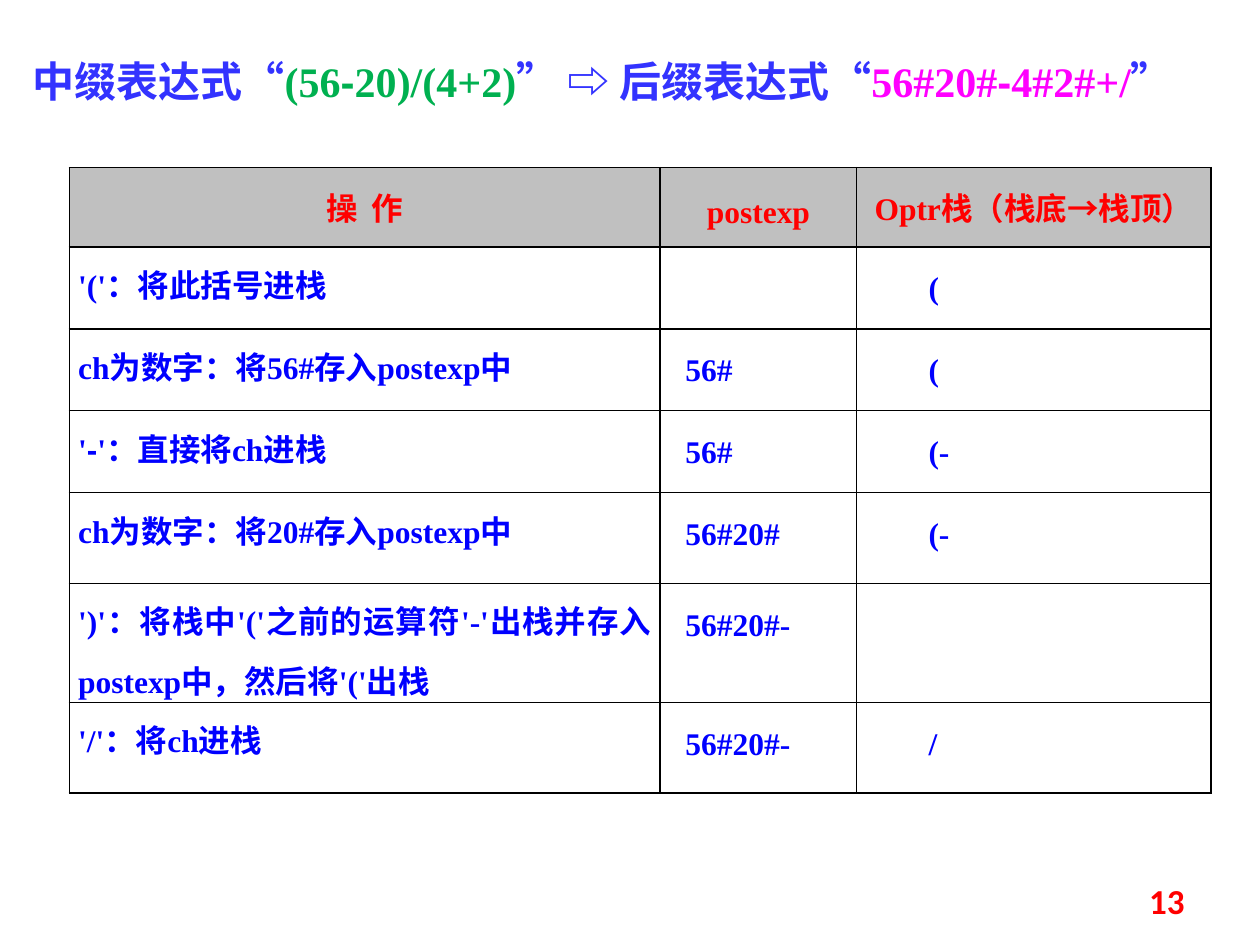
import pptx
import pptx.util
import pptx.dml.color
import pptx.enum.text
import pptx.oxml
import pptx.oxml.ns

Inches, Pt = pptx.util.Inches, pptx.util.Pt
ALIGN = pptx.enum.text.PP_ALIGN
ANCHOR = pptx.enum.text.MSO_ANCHOR

COLORS = {"title": "3333FF", "infix": "00B050", "postfix": "FF00FF",
          "head": "FF0000", "body": "0000FF", "head_fill": "C0C0C0",
          "border": "000000"}
SERIF, SANS = "Times New Roman", "Arial"

TITLE = [("中缀表达式“", "title", SERIF),
         ("(56", "infix", SERIF), ("-", "infix", SANS), ("20)/(4+2)", "infix", SERIF),
         ("” ⇨ 后缀表达式“", "title", SERIF),
         ("56#20#", "postfix", SERIF), ("-", "postfix", SANS), ("4#2#+/", "postfix", SERIF),
         ("”", "title", SERIF)]
HEADER = ["操  作", "postexp", "Optr栈（栈底→栈顶）"]
STEPS = [
    ("'('：将此括号进栈", "", "("),
    ("ch为数字：将56#存入postexp中", "56#", "("),
    ([("'", SERIF), ("-", SANS), ("'：直接将ch进栈", SERIF)], "56#", "(-"),
    ("ch为数字：将20#存入postexp中", "56#20#", "(-"),
    ("')'：将栈中'('之前的运算符'-'出栈并存入postexp中，然后将'('出栈", "56#20#-", ""),
    ("'/'：将ch进栈", "56#20#-", "/"),
]
COL_WIDTHS = [4.69, 1.56, 2.81]
ROW_HEIGHTS = [0.63, 0.65, 0.65, 0.65, 0.72, 0.81, 0.72]
COL_INDENTS = [0, 0.13, 0.5]


def rgb(name):
    return pptx.dml.color.RGBColor.from_string(COLORS[name])


def add_run(p, text, size, color, font):
    r = p.add_run()
    r.text = text
    for key, value in {"size": Pt(size), "name": font, "bold": True}.items():
        setattr(r.font, key, value)
    r.font.color.rgb = rgb(color)


def set_borders(cell):
    tc_pr = cell._tc.get_or_add_tcPr()
    for i, side in enumerate(("lnL", "lnR", "lnT", "lnB")):
        tc_pr.insert(i, pptx.oxml.parse_xml(
            f'<a:{side} {pptx.oxml.ns.nsdecls("a")} w="12700"><a:solidFill>'
            f'<a:srgbClr val="{COLORS["border"]}"/></a:solidFill></a:{side}>'))


def fill_cell(cell, content, is_header, indent):
    for key, value in {"margin_left": Inches(0.07), "margin_right": Inches(0.07),
                       "margin_top": 0, "margin_bottom": 0,
                       "vertical_anchor": ANCHOR.MIDDLE if is_header else ANCHOR.TOP}.items():
        setattr(cell, key, value)
    if is_header:
        cell.fill.solid()
        cell.fill.fore_color.rgb = rgb("head_fill")
    else:
        cell.fill.background()
    set_borders(cell)
    p = cell.text_frame.paragraphs[0]
    p.alignment = ALIGN.CENTER if is_header else ALIGN.JUSTIFY
    p.line_spacing = Pt(26 if is_header else 34)
    if indent and not is_header:
        p._p.get_or_add_pPr().set("marL", str(Inches(indent)))
    runs = [(content, SERIF)] if isinstance(content, str) else content
    for text, font in runs:
        if text:
            add_run(p, text, 18, "head" if is_header else "body", font)


def add_title(slide):
    sp = slide.shapes.title
    sp.left, sp.top, sp.width, sp.height = map(Inches, (0.16, 0.39, 9.38, 0.5))
    tf = sp.text_frame
    tf.word_wrap = True
    tf.auto_size = pptx.enum.text.MSO_AUTO_SIZE.NONE
    tf.vertical_anchor = ANCHOR.TOP
    p = tf.paragraphs[0]
    p.alignment = ALIGN.LEFT
    for text, color, font in TITLE:
        add_run(p, text, 24, color, font)


def add_steps_table(slide):
    rows = [HEADER, *STEPS]
    frame = slide.shapes.add_table(len(rows), len(HEADER), Inches(0.55), Inches(1.33),
                                   Inches(sum(COL_WIDTHS)), Inches(sum(ROW_HEIGHTS)))
    table = frame.table
    table.horz_banding = False
    for col, width in zip(table.columns, COL_WIDTHS):
        col.width = Inches(width)
    for i, (row, height) in enumerate(zip(rows, ROW_HEIGHTS)):
        table.rows[i].height = Inches(height)
        for j, content in enumerate(row):
            fill_cell(table.cell(i, j), content, i == 0, COL_INDENTS[j])


def add_page_number(slide):
    sp = slide.shapes.add_textbox(*map(Inches, (7.17, 6.95, 2.33, 0.4)))
    tf = sp.text_frame
    tf.word_wrap = True
    tf.vertical_anchor = ANCHOR.MIDDLE
    p = tf.paragraphs[0]
    p.alignment = ALIGN.RIGHT
    add_run(p, "13", 20, "head", "Calibri")


def main():
    prs = pptx.Presentation()
    prs.slide_width, prs.slide_height = Inches(10), Inches(7.5)
    slide = prs.slides.add_slide(prs.slide_layouts[5])
    add_title(slide)
    add_steps_table(slide)
    add_page_number(slide)
    prs.save("out.pptx")


if __name__ == "__main__":
    main()
